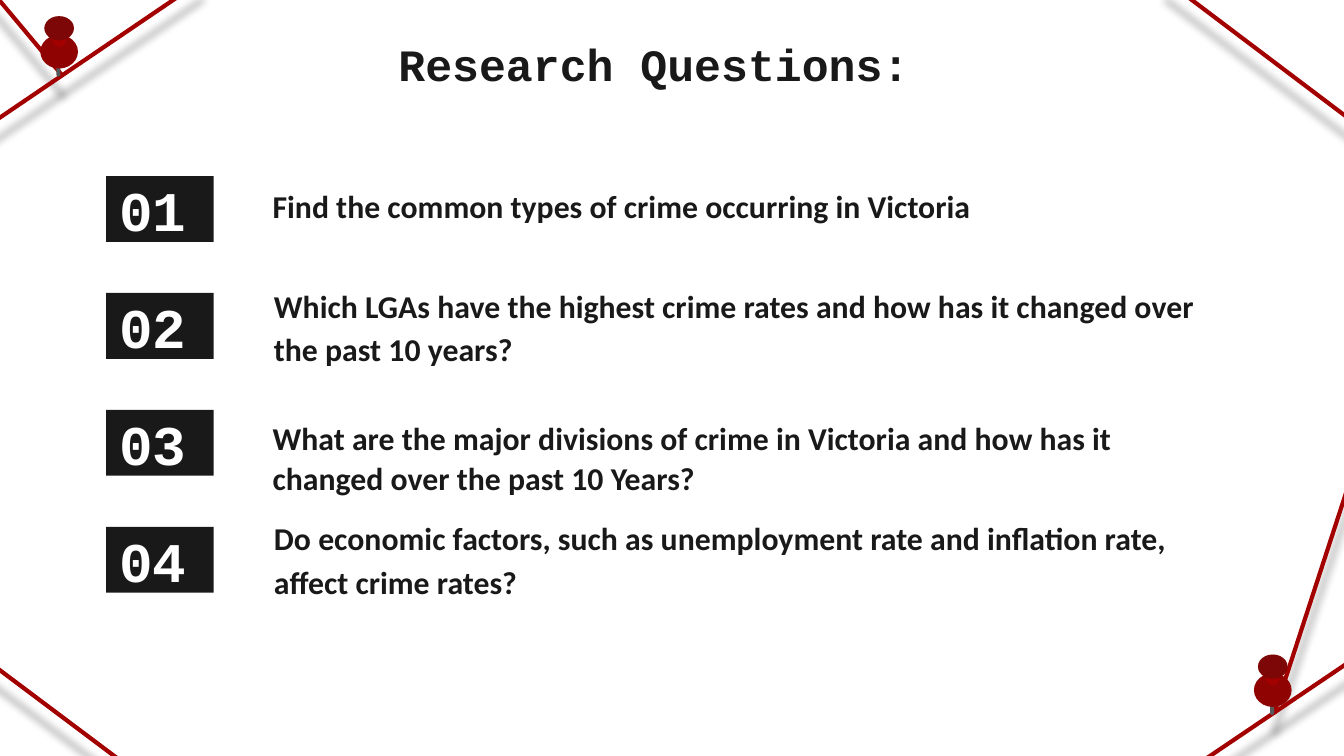
from lxml import etree
from pptx import Presentation
from pptx.dml.color import RGBColor
from pptx.enum.shapes import MSO_CONNECTOR as Connector, MSO_SHAPE as Shape
from pptx.enum.text import MSO_ANCHOR as Anchor, MSO_AUTO_SIZE as AutoSize, PP_ALIGN as Align
from pptx.oxml import parse_xml
from pptx.oxml.ns import nsdecls, qn
from pptx.util import Inches, Pt

WIDTH = 10
HEIGHT = WIDTH * 9 / 16
INK, RED, STEEL, WHITE = "191919", "A30000", "58595B", "FFFFFF"
MONO, SANS = "Courier New", "Calibri"

STRINGS = [
    (10.06, 0.9, 8.67, -0.15),
    (1.07, 5.79, -0.33, 4.74),
    (-0.04, -0.04, 0.47, 0.57),
    (-0.45, 1.18, 1.51, -0.15),
    (10.22, 3.04, 9.48, 5.31),
    (8.67, 5.85, 10.27, 4.77),
]
PINS = [(0.3, 0.12), (9.33, 4.87)]

# Text, top of its box, and whether it uses the indented paragraph style
QUESTIONS = [
    ("Find the common types of crime occurring in Victoria", 1.24, False),
    ("Which LGAs have the highest crime rates and how has it changed over the past 10 years?",
     2.31, True),
    ("What are the major divisions of crime in Victoria and how has it changed over "
     "the past 10 Years?", 3.27, False),
    ("Do economic factors, such as unemployment rate and inflation rate, affect crime rates?",
     4.04, True),
]
FIRST_ROW, ROW_PITCH = 1.31, 0.87


def color(value):
    return RGBColor.from_string(value)


def place(shape, left, top, width, height):
    shape.left, shape.top = Inches(left), Inches(top)
    shape.width, shape.height = Inches(width), Inches(height)


def write(shape, text, font, size, tint, anchor, align=Align.LEFT):
    """Fill a shape with one bold paragraph and return that paragraph."""
    frame = shape.text_frame
    frame.text = text
    frame.word_wrap = True
    frame.auto_size = AutoSize.NONE
    frame.vertical_anchor = anchor
    frame.margin_left = frame.margin_right = Inches(0.1)
    frame.margin_top = frame.margin_bottom = Inches(0.1)
    para = frame.paragraphs[0]
    para.alignment = align
    span = para.runs[0]
    span.font.name, span.font.size, span.font.bold = font, Pt(size), True
    span.font.color.rgb = color(tint)
    return para


def add_solid(page, kind, box, fill, opacity=100):
    shape = page.shapes.add_shape(kind, *(Inches(length) for length in box))
    shape.shadow.inherit = False
    shape.line.fill.background()
    shape.fill.solid()
    shape.fill.fore_color.rgb = color(fill)
    if opacity < 100:
        tint = shape.fill._xPr.find(qn("a:solidFill"))[0]
        etree.SubElement(tint, qn("a:alpha")).set("val", str(opacity * 1000))
    return shape


def add_string(page, ends):
    """Draw a red string with a soft shadow below it."""
    string = page.shapes.add_connector(Connector.STRAIGHT, *(Inches(end) for end in ends))
    string.line.color.rgb = color(RED)
    string.line.width = Pt(2.25)
    string._element.spPr.append(parse_xml(
        f'<a:effectLst {nsdecls("a")}>'
        f'<a:outerShdw blurRad="{Pt(4.5)}" dist="{Pt(10.5)}" dir="5400000"'
        ' algn="bl" rotWithShape="0"><a:srgbClr val="000000">'
        '<a:alpha val="37000"/></a:srgbClr></a:outerShdw></a:effectLst>'))


def add_pin(page, left, top):
    base = (left, top + 0.14, 0.28, 0.25)
    head = (left + 0.03, top, 0.22, 0.18)
    stem = (left + 0.12, top + 0.05, 0.03, 0.4)
    neck = (left + 0.09, top + 0.1, 0.1, 0.13)
    for kind, box, fill, opacity in [
        (Shape.ROUNDED_RECTANGLE, stem, STEEL, 100),
        (Shape.OVAL, base, RED, 100),
        (Shape.OVAL, base, INK, 14),
        (Shape.ROUNDED_RECTANGLE, neck, RED, 100),
        (Shape.OVAL, head, RED, 100),
        (Shape.OVAL, head, INK, 27),
    ]:
        shape = add_solid(page, kind, box, fill, opacity)
        if kind == Shape.ROUNDED_RECTANGLE:
            shape.adjustments[0] = 0.5


def add_title(page, left, top, width, height):
    title = page.shapes.title
    place(title, left, top, width, height)
    write(title, "Research Questions:", MONO, 24, INK, Anchor.TOP, Align.CENTER)


def add_number(page, number, left, top, width, height):
    badge = add_solid(page, Shape.RECTANGLE, (left, top, width, height), INK)
    write(badge, f"{number:02d}", MONO, 30, WHITE, Anchor.MIDDLE)


def add_question(page, text, indented, top, width, height):
    left = 1.79 if indented else 1.93
    box = page.shapes.add_textbox(0, 0, 0, 0)
    place(box, left, top, width, height)
    para = write(box, text, SANS, 17, INK, Anchor.BOTTOM)
    if indented:
        para.line_spacing = 1.15
        para._p.get_or_add_pPr().set("marL", str(Inches(0.15)))
        para._p.get_or_add_pPr().set("indent", "0")
    else:
        para.line_spacing = 1.07
        para.space_after = Pt(8)


def main():
    deck = Presentation()
    deck.slide_width, deck.slide_height = Inches(WIDTH), Inches(HEIGHT)
    page = deck.slides.add_slide(deck.slide_layouts[5])
    for ends in STRINGS:
        add_string(page, ends)
    for left, top in PINS:
        add_pin(page, left, top)
    add_title(page, 0.65, 0.17, 8.43, 0.63)
    for row, (text, top, indented) in enumerate(QUESTIONS):
        add_number(page, row + 1, 0.79, FIRST_ROW + row * ROW_PITCH, 0.8, 0.49)
        add_question(page, text, indented, top, 7.29, 0.53)
    deck.save("out.pptx")


if __name__ == "__main__":
    main()
